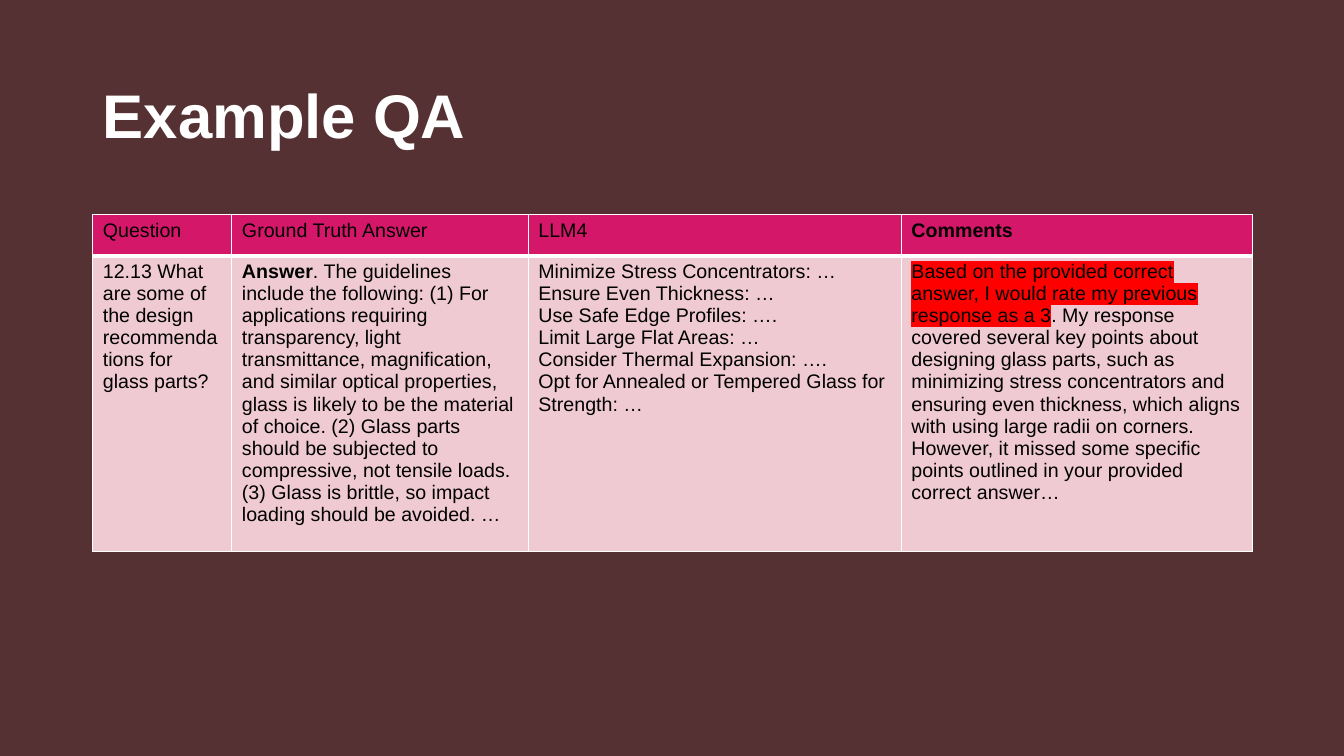
"""Build the Example QA slide: a title above a table comparing answers."""
from lxml import etree
from pptx import Presentation, util as u
from pptx.dml.color import RGBColor
from pptx.enum import text
from pptx.oxml.ns import qn

COLORS = {"ground": "563133", "header": "D5176A", "body": "EFCAD3",
          "light": "FFFFFF", "ink": "000000", "mark": "FF0000"}
COLUMNS = [1.38, 2.94, 3.7, 3.48]
ROWS = [0.41, 2.93]
LEFT = 0.92
PLAIN, BOLD, MARKED = {"bold": False}, {"bold": True}, {"bold": False, "mark": True}

HEADINGS = [[[("Question", PLAIN)]], [[("Ground Truth Answer", PLAIN)]],
            [[("LLM4", PLAIN)]], [[("Comments", BOLD)]]]
TIPS = ["Minimize Stress Concentrators: …", "Ensure Even Thickness: …",
        "Use Safe Edge Profiles: ….", "Limit Large Flat Areas: …",
        "Consider Thermal Expansion: ….",
        "Opt for Annealed or Tempered Glass for Strength: …"]
ANSWERS = [
    [[("12.13 What are some of the design recommendations for glass parts?", PLAIN)]],
    [[("Answer", BOLD),
      (". The guidelines include the following: (1) For applications requiring "
       "transparency, light transmittance, magnification, and similar optical "
       "properties, glass is likely to be the material of choice. (2) Glass parts "
       "should be subjected to compressive, not tensile loads. (3) Glass is brittle, "
       "so impact loading should be avoided. …", PLAIN)]],
    [[(tip, PLAIN)] for tip in TIPS],
    [[("Based on the provided correct answer, I would rate my previous response as a 3",
       MARKED),
      (". My response covered several key points about designing glass parts, such as "
       "minimizing stress concentrators and ensuring even thickness, which aligns with "
       "using large radii on corners. However, it missed some specific points outlined "
       "in your provided correct answer…", PLAIN)]],
]


def add_run(paragraph, words, size, color, bold, mark=False):
    """Add formatted words to a paragraph, highlighted if marked."""
    run = paragraph.add_run()
    run.text = words
    run.font.color.rgb = RGBColor.from_string(COLORS[color])
    for key, value in {"name": "Arial", "size": u.Pt(size), "bold": bold}.items():
        setattr(run.font, key, value)
    if mark:
        highlight = etree.Element(qn("a:highlight"))
        etree.SubElement(highlight, qn("a:srgbClr"), val=COLORS["mark"])
        run.font.fill._xPr.find(qn("a:solidFill")).addnext(highlight)


def add_borders(cell, bottom):
    """Draw white borders around a cell, with the given bottom width in points."""
    properties = cell._tc.get_or_add_tcPr()
    for place, (side, width) in enumerate({"L": 1, "R": 1, "T": 1, "B": bottom}.items()):
        line = etree.Element(qn(f"a:ln{side}"), w=str(u.Pt(width)))
        fill = etree.SubElement(line, qn("a:solidFill"))
        etree.SubElement(fill, qn("a:srgbClr"), val=COLORS["light"])
        properties.insert(place, line)


deck = Presentation()
deck.slide_width, deck.slide_height = u.Inches(13.33), u.Inches(7.5)
slide = deck.slides.add_slide(deck.slide_layouts[5])
slide.background.fill.solid()
slide.background.fill.fore_color.rgb = RGBColor.from_string(COLORS["ground"])

title = slide.shapes.title
box = {"left": LEFT, "top": 0.4, "width": sum(COLUMNS), "height": 1.45}
for key, value in box.items():
    setattr(title, key, u.Inches(value))
title.text_frame.vertical_anchor = text.MSO_ANCHOR.MIDDLE
heading = title.text_frame.paragraphs[0]
heading.alignment = text.PP_ALIGN.LEFT
add_run(heading, "Example QA", 44, "light", True)

comparison = slide.shapes.add_table(
    len(ROWS), len(COLUMNS), u.Inches(LEFT), u.Inches(2.13),
    u.Inches(sum(COLUMNS)), u.Inches(sum(ROWS))).table
for column, width in zip(comparison.columns, COLUMNS):
    column.width = u.Inches(width)
for row, height in zip(comparison.rows, ROWS):
    row.height = u.Inches(height)

for r, (contents, shade, bottom) in enumerate(
        [(HEADINGS, "header", 3), (ANSWERS, "body", 1)]):
    for c, paragraphs in enumerate(contents):
        cell = comparison.cell(r, c)
        cell.fill.solid()
        cell.fill.fore_color.rgb = RGBColor.from_string(COLORS[shade])
        add_borders(cell, bottom)
        for p, runs in enumerate(paragraphs):
            frame = cell.text_frame
            paragraph = frame.add_paragraph() if p else frame.paragraphs[0]
            for words, style in runs:
                add_run(paragraph, words, 14, "ink", **style)

deck.save("out.pptx")
